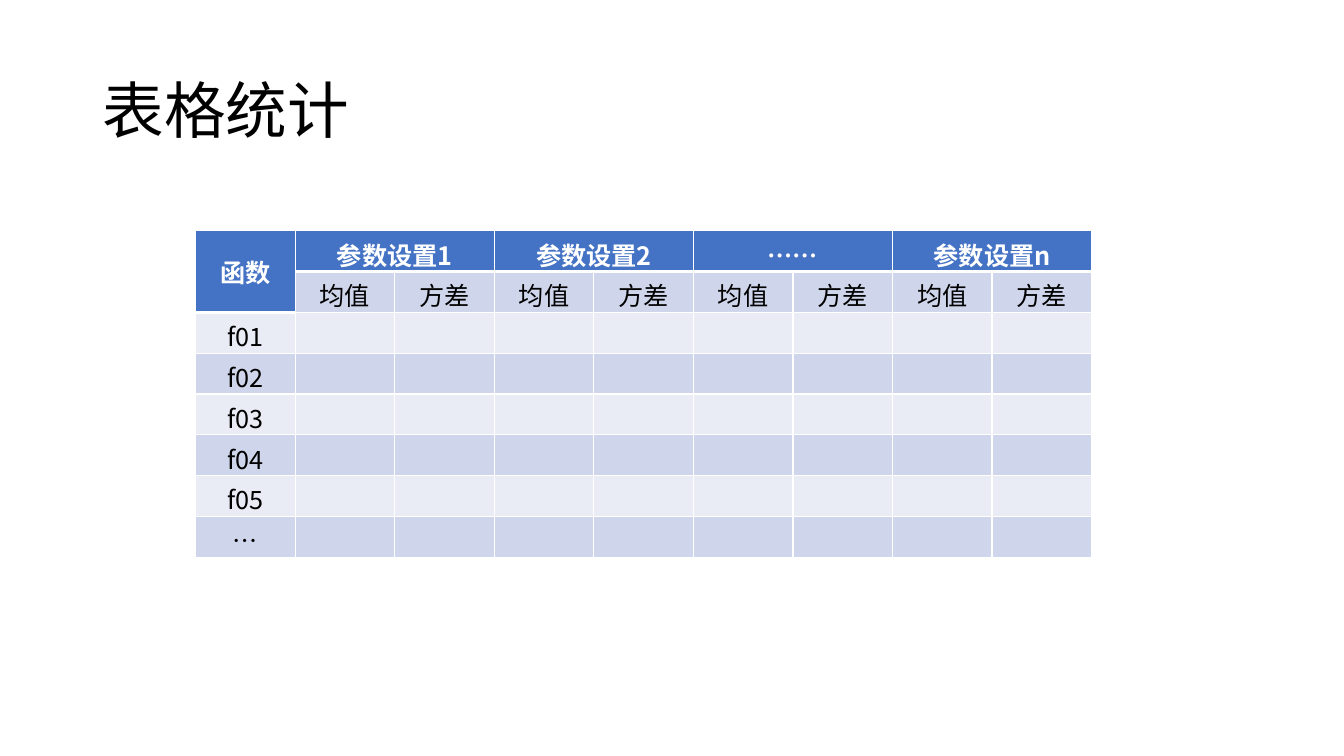
from lxml.etree import SubElement
from pptx import Presentation
from pptx.dml.color import RGBColor
from pptx.enum.text import MSO_ANCHOR, PP_ALIGN
from pptx.oxml.ns import qn
from pptx.util import Inches, Pt


def color(code):
    return RGBColor.from_string(code)


class Deck:
    """Holds the style and the current slide and adds elements to it."""

    font = "Noto Sans CJK SC"
    white, black, blue = "FFFFFF", "000000", "4472C4"
    bands = ("E9EBF5", "CFD5EA")

    def __init__(self):
        self.deck = Presentation()
        self.deck.slide_width = Inches(13.33)
        self.deck.slide_height = Inches(7.5)
        self.slide = self.deck.slides.add_slide(self.deck.slide_layouts[6])

    def style(self, para, size, tint, bold=False):
        for run in para.runs:
            run.font.size = Pt(size)
            run.font.bold = bold
            run.font.color.rgb = color(tint)
            run.font.name = self.font
            SubElement(run._r.get_or_add_rPr(), qn("a:ea"), typeface=self.font)

    def title(self, text, left, top, width, height):
        box = self.slide.shapes.add_textbox(
            Inches(left), Inches(top), Inches(width), Inches(height))
        frame = box.text_frame
        frame.word_wrap = True
        frame.vertical_anchor = MSO_ANCHOR.MIDDLE
        frame.text = text
        para = frame.paragraphs[0]
        para.line_spacing = 0.9
        self.style(para, 44, self.black)

    def border(self, cell, side, width):
        line = SubElement(cell._tc.get_or_add_tcPr(), qn("a:ln" + side),
                          w=str(Pt(width)))
        fill = SubElement(line, qn("a:solidFill"))
        SubElement(fill, qn("a:srgbClr"), val=self.white)

    def cell(self, cell, text, row, col):
        head = row == 0 or (row == 1 and col == 0)
        last = 1 if col == 0 else 0
        self.border(cell, "L", 1)
        self.border(cell, "R", 1)
        self.border(cell, "T", 3 if row == last + 1 else 1)
        self.border(cell, "B", 3 if head else 1)
        cell.fill.solid()
        cell.fill.fore_color.rgb = color(self.blue if head else self.bands[row % 2])
        cell.vertical_anchor = MSO_ANCHOR.MIDDLE
        if text:
            cell.text_frame.text = text
            para = cell.text_frame.paragraphs[0]
            para.alignment = PP_ALIGN.CENTER
            self.style(para, 18, self.white if head else self.black, head)

    def table(self, rows, spans, left, top, width, height):
        count = len(rows[0])
        grid = self.slide.shapes.add_table(
            len(rows), count, Inches(left), Inches(top),
            Inches(width), Inches(height)).table
        for row, texts in enumerate(rows):
            for col, text in enumerate(texts):
                self.cell(grid.cell(row, col), text, row, col)
        for start, end in spans:
            grid.cell(*start).merge(grid.cell(*end))

    def save(self):
        self.deck.save("out.pptx")


def main():
    groups = ["参数设置1", "参数设置2", "……", "参数设置n"]
    names = ["f01", "f02", "f03", "f04", "f05", "…"]
    top = ["函数"] + [text for group in groups for text in (group, "")]
    rows = [top, [""] + ["均值", "方差"] * len(groups)]
    rows += [[name] + [""] * 2 * len(groups) for name in names]
    spans = [((0, 0), (1, 0))]
    spans += [((0, col), (0, col + 1)) for col in range(1, len(top), 2)]

    deck = Deck()
    deck.title("表格统计", 0.92, 0.4, 11.5, 1.45)
    deck.table(rows, spans, 1.94, 2.29, 8.89, 3.24)
    deck.save()


if __name__ == "__main__":
    main()
